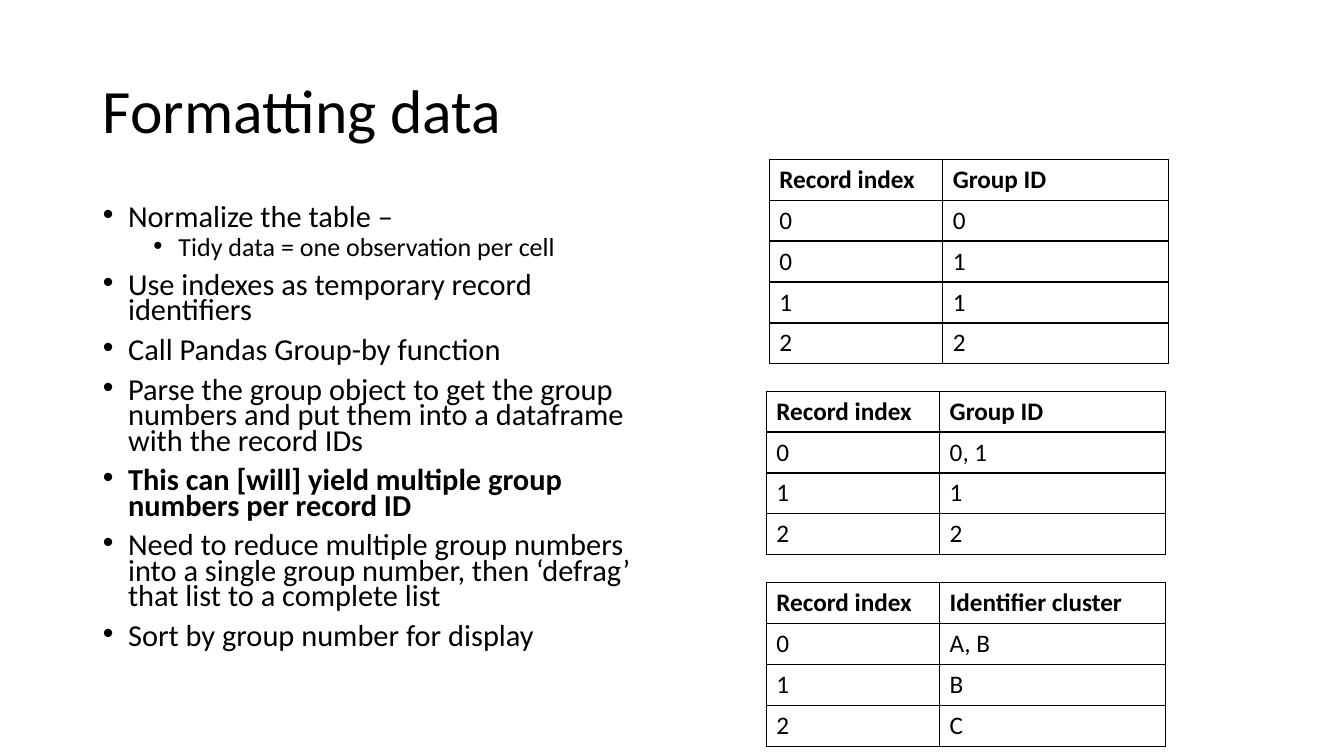
import lxml.etree
import pptx
import pptx.dml.color
import pptx.enum.text
import pptx.oxml.ns
import pptx.util

Inches = pptx.util.Inches
FONT = "Calibri"
BLACK = "000000"

# Text, level, bold
STEPS = [
    ("Normalize the table –", 0, False),
    ("Tidy data = one observation per cell", 1, False),
    ("Use indexes as temporary record identifiers", 0, False),
    ("Call Pandas Group-by function", 0, False),
    ("Parse the group object to get the group numbers and put them "
     "into a dataframe with the record IDs", 0, False),
    ("This can [will] yield multiple group numbers per record ID", 0, True),
    ("Need to reduce multiple group numbers into a single group number, "
     "then ‘defrag’ that list to a complete list", 0, False),
    ("Sort by group number for display", 0, False),
]
# Size, left margin and space before for each level
LEVELS = [(21.7, 0.25, 10), (18.6, 0.75, 5)]

# Left, top, rows
TABLES = [
    (7.63, 1.58, [("Record index", "Group ID"),
                  ("0", "0"), ("0", "1"), ("1", "1"), ("2", "2")]),
    (7.6, 3.88, [("Record index", "Group ID"),
                 ("0", "0, 1"), ("1", "1"), ("2", "2")]),
    (7.6, 5.78, [("Record index", "Identifier cluster"),
                 ("0", "A, B"), ("1", "B"), ("2", "C")]),
]
COLUMN_WIDTHS = [1.72, 2.24]
ROW_HEIGHT = 0.406


def color(value):
    return pptx.dml.color.RGBColor.from_string(value)


def add_element(parent, tag, **attributes):
    return lxml.etree.SubElement(parent, pptx.oxml.ns.qn(tag), **attributes)


def add_run(paragraph, text, size, bold=False):
    run = paragraph.add_run()
    run.text = text
    run.font.name = FONT
    run.font.size = pptx.util.Pt(size)
    run.font.bold = bold
    run.font.color.rgb = color(BLACK)


def place(shape, left, top, width, height):
    shape.left, shape.top = Inches(left), Inches(top)
    shape.width, shape.height = Inches(width), Inches(height)
    shape.text_frame.word_wrap = True
    shape.text_frame.auto_size = pptx.enum.text.MSO_AUTO_SIZE.NONE


def fill_title(shape, text, left, top, width, height):
    place(shape, left, top, width, height)
    shape.text_frame.vertical_anchor = pptx.enum.text.MSO_ANCHOR.MIDDLE
    paragraph = shape.text_frame.paragraphs[0]
    paragraph.alignment = pptx.enum.text.PP_ALIGN.LEFT
    paragraph.line_spacing = 0.9
    add_run(paragraph, text, 44)


def fill_steps(shape, steps, left, top, width, height):
    place(shape, left, top, width, height)
    frame = shape.text_frame
    for index, (text, level, bold) in enumerate(steps):
        paragraph = frame.add_paragraph() if index else frame.paragraphs[0]
        size, margin, space_before = LEVELS[level]
        # Bullet with a hanging indent
        properties = paragraph._p.get_or_add_pPr()
        properties.set("marL", str(Inches(margin)))
        properties.set("indent", str(Inches(-0.25)))
        add_element(properties, "a:buFont", typeface="Arial")
        add_element(properties, "a:buChar", char="•")
        paragraph.level = level
        paragraph.line_spacing = 0.7
        paragraph.space_before = pptx.util.Pt(space_before if index else 0)
        add_run(paragraph, text, size, bold)


def outline_cell(cell):
    properties = cell._tc.get_or_add_tcPr()
    for side in ("a:lnL", "a:lnR", "a:lnT", "a:lnB"):
        line = add_element(properties, side, w=str(pptx.util.Pt(1)))
        add_element(add_element(line, "a:solidFill"), "a:srgbClr", val=BLACK)


def add_record_table(slide, rows, left, top):
    frame = slide.shapes.add_table(
        len(rows), len(COLUMN_WIDTHS), Inches(left), Inches(top),
        Inches(sum(COLUMN_WIDTHS)), Inches(ROW_HEIGHT * len(rows)))
    table = frame.table
    table.horz_banding = False
    for column, width in zip(table.columns, COLUMN_WIDTHS):
        column.width = Inches(width)
    for row_index, values in enumerate(rows):
        table.rows[row_index].height = Inches(ROW_HEIGHT)
        for column_index, value in enumerate(values):
            cell = table.cell(row_index, column_index)
            outline_cell(cell)
            cell.fill.background()
            add_run(cell.text_frame.paragraphs[0], value, 18, row_index == 0)


def main():
    presentation = pptx.Presentation()
    presentation.slide_width = Inches(13.33)
    presentation.slide_height = Inches(7.5)
    slide = presentation.slides.add_slide(presentation.slide_layouts[1])

    # Title and steps on the left
    fill_title(slide.shapes.title, "Formatting data", 0.92, 0.4, 11.5, 1.45)
    fill_steps(slide.placeholders[1], STEPS, 0.92, 2, 5.67, 4.76)

    # Tables on the right
    for left, top, rows in TABLES:
        add_record_table(slide, rows, left, top)

    presentation.save("out.pptx")


if __name__ == "__main__":
    main()
